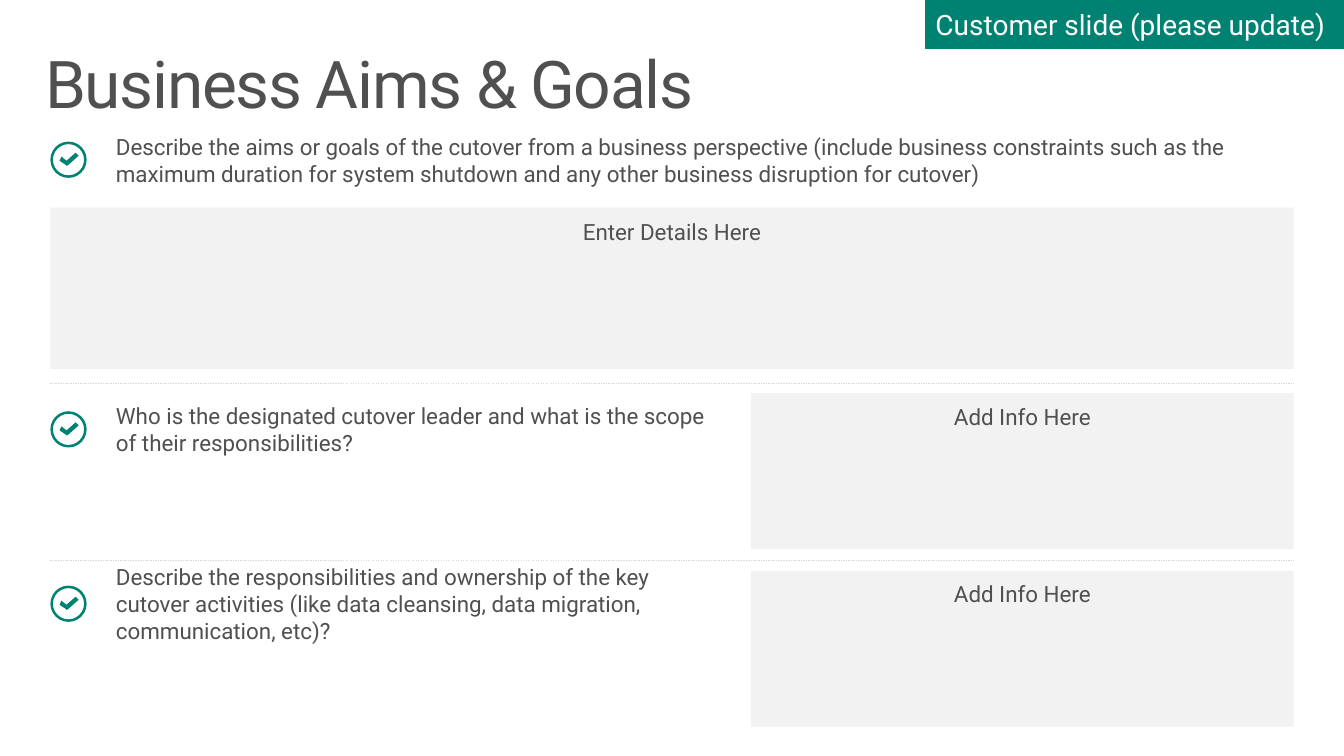
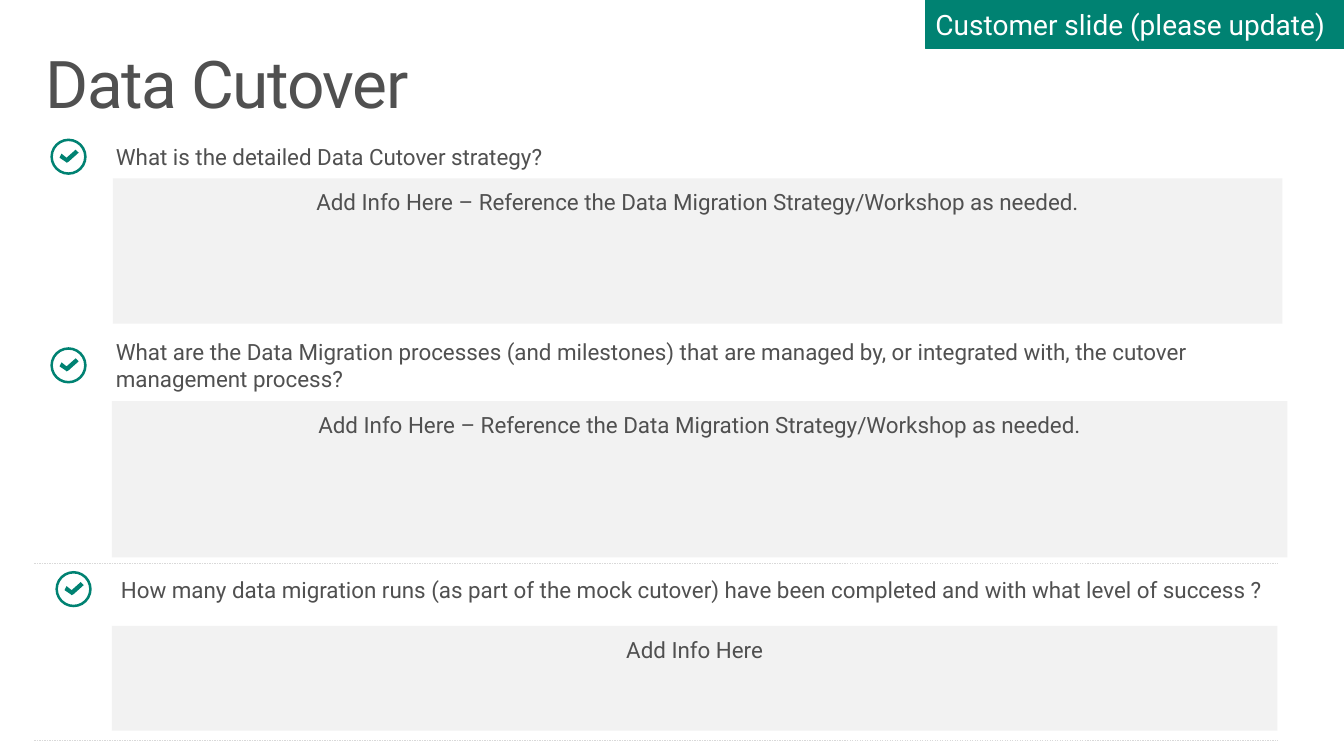
"""Build two customer cutover slides about business aims and data cutover."""
import pptx
import pptx.dml.color
import pptx.enum.dml
import pptx.enum.shapes
import pptx.enum.text
import pptx.oxml.ns
import pptx.util
from lxml import etree

Inches = pptx.util.Inches
Pt = pptx.util.Pt
SHAPE = pptx.enum.shapes.MSO_SHAPE
ALIGN = pptx.enum.text.PP_ALIGN
ANCHOR = pptx.enum.text.MSO_ANCHOR


class Deck:
    COLORS = {"text": "505050", "accent": "008272", "panel": "F2F2F2",
              "rule": "D9D9D9", "white": "FFFFFF"}
    FONT = "Roboto"
    BODY_SIZE = 16
    ICON_SIZE = 0.36
    CHECK = [(0.25, 0.11), (0.16, 0.19), (0.11, 0.15), (0.09, 0.19),
             (0.15, 0.23), (0.16, 0.24), (0.18, 0.23), (0.28, 0.14)]

    def __init__(self):
        self.prs = pptx.Presentation()
        self.prs.slide_width = Inches(13.33)
        self.prs.slide_height = Inches(7.5)
        self.s = None

    def color(self, name):
        return pptx.dml.color.RGBColor.from_string(self.COLORS[name])

    def set_text(self, sp, text, size=BODY_SIZE, color="text", align=ALIGN.LEFT,
                 anchor=ANCHOR.TOP, insets=(0.1, 0.05, 0.1, 0.05)):
        tf = sp.text_frame
        tf.word_wrap = True
        tf.vertical_anchor = anchor
        tf.margin_left, tf.margin_top, tf.margin_right, tf.margin_bottom = map(Inches, insets)
        p = tf.paragraphs[0]
        p.text = text
        p.alignment = align
        p.font.name = self.FONT
        p.font.size = Pt(size)
        p.font.color.rgb = self.color(color)
        return p

    def paint(self, sp, color):
        sp.shadow.inherit = False
        sp.fill.solid()
        sp.fill.fore_color.rgb = self.color(color)
        sp.line.fill.background()

    def rect(self, x, y, w, h, color):
        sp = self.s.shapes.add_shape(SHAPE.RECTANGLE, Inches(x), Inches(y), Inches(w), Inches(h))
        self.paint(sp, color)
        return sp

    def slide(self, title):
        self.s = self.prs.slides.add_slide(self.prs.slide_layouts[6])
        sp = self.s.shapes.add_textbox(Inches(0.29), Inches(0.41), Inches(12.75), Inches(0.98))
        p = self.set_text(sp, title, size=47, insets=(0.16, 0.1, 0.16, 0.1))
        p.line_spacing = 0.9
        p.runs[0]._r.get_or_add_rPr().set("spc", "-100")
        self.tag("Customer slide (please update)")

    def tag(self, text):
        sp = self.rect(9.18, 0, 4.15, 0.48, "accent")
        sp.line.color.rgb = self.color("accent")
        sp.line.width = Pt(0.25)
        self.set_text(sp, text, size=20, color="white", anchor=ANCHOR.MIDDLE)

    def panel(self, x, y, w, h, text):
        sp = self.rect(x, y, w, h, "panel")
        self.set_text(sp, text, align=ALIGN.CENTER, insets=(0.1, 0.1, 0.1, 0.05))

    def rule(self, x, y, w=12.33):
        ln = self.s.shapes.add_connector(pptx.enum.shapes.MSO_CONNECTOR.STRAIGHT,
                                         Inches(x), Inches(y), Inches(x + w), Inches(y))
        ln.line.color.rgb = self.color("rule")
        ln.line.width = Pt(0.25)
        ln.line.dash_style = pptx.enum.dml.MSO_LINE.DASH
        etree.SubElement(ln._element.spPr, pptx.oxml.ns.qn("a:effectLst"))

    def question(self, x, y, w, h, text):
        shapes = self.s.shapes.add_group_shape().shapes
        sp = shapes.add_textbox(Inches(x), Inches(y), Inches(w), Inches(h))
        self.set_text(sp, text, anchor=ANCHOR.MIDDLE, insets=(0.6, 0.05, 0.1, 0.05))
        self.icon(shapes, x - 0.05, y + (h - self.ICON_SIZE) / 2)

    def icon(self, shapes, x, y):
        size = Inches(self.ICON_SIZE)
        ring = shapes.add_shape(SHAPE.DONUT, Inches(x), Inches(y), size, size)
        ring.adjustments[0] = 0.07
        self.paint(ring, "accent")
        points = [(Inches(x + dx), Inches(y + dy)) for dx, dy in self.CHECK]
        builder = shapes.build_freeform(*points[0])
        builder.add_line_segments(points[1:], close=True)
        self.paint(builder.convert_to_shape(), "accent")


def business_aims(deck):
    deck.slide("Business Aims & Goals")
    deck.question(0.55, 1.3, 12.28, 0.57,
                  "Describe the aims or goals of the cutover from a business perspective "
                  "(include business constraints such as the maximum duration for system "
                  "shutdown and any other business disruption for cutover)")
    deck.panel(0.5, 2.06, 12.33, 1.6, "Enter Details Here")
    rows = [
        (3.8, 3.94, "Who is the designated cutover leader and what is the scope of "
                    "their responsibilities?"),
        (5.56, 5.67, "Describe the responsibilities and ownership of the key cutover "
                     "activities (like data cleansing, data migration, communication, etc)?"),
    ]
    for rule_y, text_y, text in rows:
        deck.rule(0.5, rule_y)
        deck.question(0.55, text_y, 6.75, 0.64, text)
        deck.panel(7.45, rule_y + 0.1, 5.38, 1.55, "Add Info Here")


def data_cutover(deck):
    deck.slide("Data Cutover")
    hint = "Add Info Here – Reference the Data Migration Strategy/Workshop as needed."
    rows = [
        ((0.55, 1.27, 6.75, 0.57), "What is the detailed Data Cutover strategy?",
         (1.12, 1.77, 11.6, 1.44), hint),
        ((0.55, 3.34, 12.33, 0.57),
         "What are the Data Migration processes (and milestones) that are managed by, "
         "or integrated with, the cutover management process?",
         (1.11, 3.98, 11.66, 1.55), hint),
        ((0.6, 5.66, 12.04, 0.37),
         "How many data migration runs (as part of the mock cutover) have been "
         "completed and with what level of success ?",
         (1.11, 6.21, 11.56, 1.04), "Add Info Here"),
    ]
    for question_box, question, panel_box, answer in rows:
        deck.question(*question_box, question)
        deck.panel(*panel_box, answer)
    for y in (5.59, 7.34):
        deck.rule(0.34, y)


def main():
    deck = Deck()
    business_aims(deck)
    data_cutover(deck)
    deck.prs.save("out.pptx")


if __name__ == "__main__":
    main()
